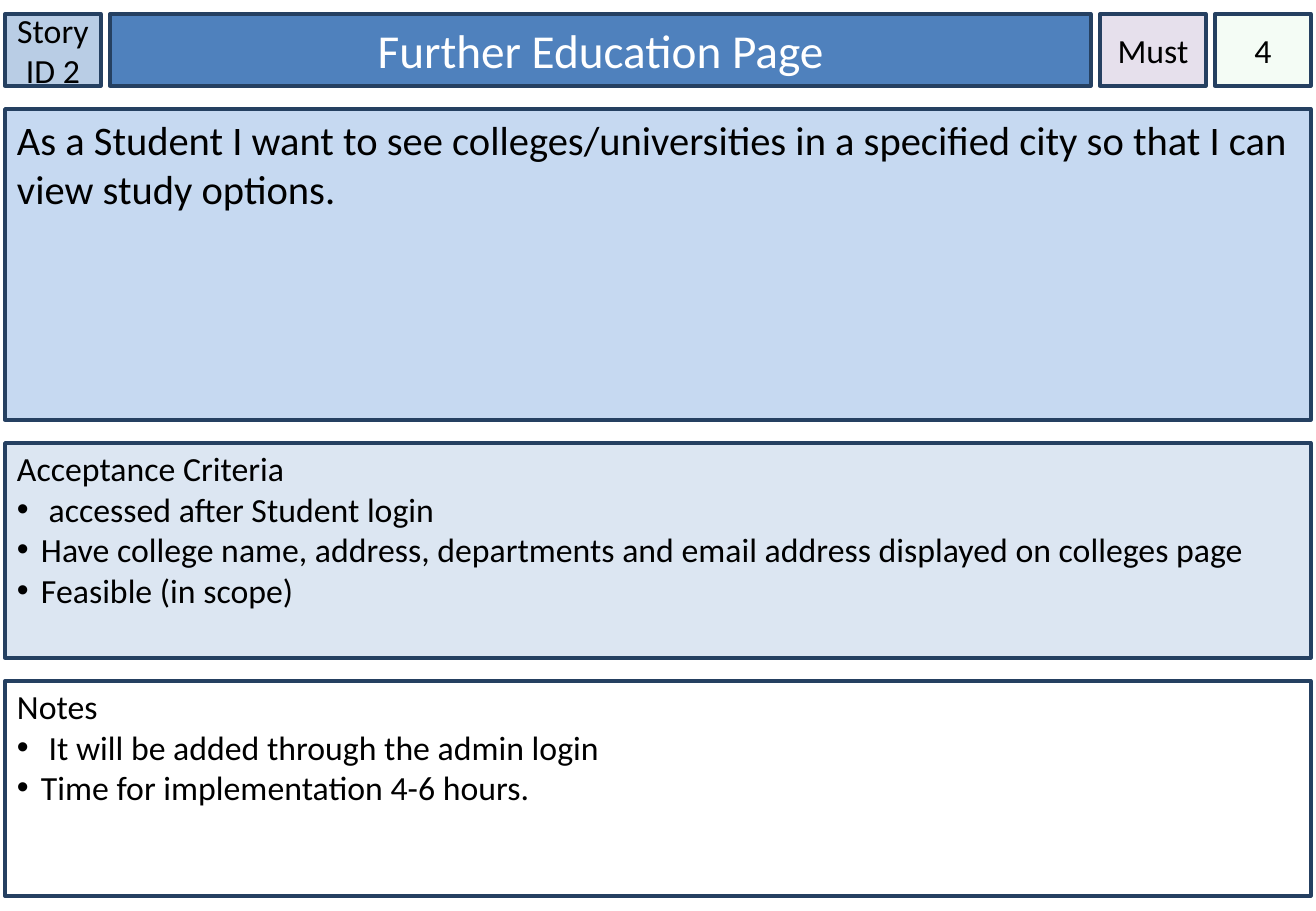
"""Build a one-page user story card with a header row and stacked panels."""
from lxml.etree import SubElement
from pptx import Presentation
from pptx.dml.color import RGBColor
from pptx.enum.shapes import MSO_SHAPE
from pptx.enum.text import MSO_ANCHOR, PP_ALIGN
from pptx.oxml.ns import qn
from pptx.util import Inches, Pt

NAVY = RGBColor(0x25, 0x40, 0x61)
BLACK = RGBColor(0, 0, 0)
WHITE = RGBColor(255, 255, 255)
ID_BLUE = RGBColor(0xB9, 0xCD, 0xE5)
TITLE_BLUE = RGBColor(0x4F, 0x81, 0xBD)
STORY_BLUE = RGBColor(0xC6, 0xD9, 0xF1)
CRITERIA_BLUE = RGBColor(0xDC, 0xE6, 0xF2)
LILAC = RGBColor(0xE6, 0xE0, 0xEC)
MINT = RGBColor(0xCC, 0xF0, 0xCD)

HEADER = [
    {"text": "Story ID 2", "width": 96, "fill": ID_BLUE},
    {"text": "Further Education Page", "width": 981, "fill": TITLE_BLUE,
     "size": 28, "color": WHITE, "side": 12},
    {"text": "Must", "width": 106, "fill": LILAC, "wrap": False},
    {"text": "4", "width": 96, "fill": MINT, "opacity": 20},
]
PANELS = [
    {"text": "As a Student I want to see colleges/universities in a specified city "
             "so that I can view study options.",
     "height": 311, "fill": STORY_BLUE, "size": 24, "top_inset": 6},
    {"text": "Acceptance Criteria", "height": 215, "fill": CRITERIA_BLUE,
     "bullets": [" accessed after Student login",
                 "Have college name, address, departments and email address "
                 "displayed on colleges page",
                 "Feasible (in scope)"]},
    {"text": "Notes", "height": 215, "fill": WHITE,
     "bullets": [" It will be added through the admin login",
                 "Time for implementation 4-6 hours."]},
]
LEFT, TOP, HEADER_HEIGHT, PANEL_WIDTH = 5, 14, 72, 1306
COLUMN_GAP, ROW_GAP, BULLET_INDENT = 9, 23, 24


def px(pixels):
    """Turn pixels into EMU."""
    return Inches(pixels / 121.5)


def set_all(target, values):
    """Set every attribute in a dict of format values."""
    for name, value in values.items():
        setattr(target, name, value)


def add_bullet(para):
    """Give a paragraph a hanging round bullet."""
    props = para._p.get_or_add_pPr()
    props.set("marL", str(px(BULLET_INDENT)))
    props.set("indent", str(-px(BULLET_INDENT)))
    SubElement(props, qn("a:buFont"), typeface="Arial")
    SubElement(props, qn("a:buChar"), char="•")


def add_card(page, item, bounds, align, anchor, side, top_inset):
    """Draw one outlined box with its text and bullets."""
    box = page.shapes.add_shape(MSO_SHAPE.RECTANGLE, *map(px, bounds))
    box.shadow.inherit = False
    box.fill.solid()
    box.fill.fore_color.rgb = item["fill"]
    if "opacity" in item:
        color = box._element.spPr.find(qn("a:solidFill"))[0]
        SubElement(color, qn("a:alpha"), val=str(item["opacity"] * 1000))
    box.line.color.rgb = NAVY
    box.line.width = Pt(2)
    frame = box.text_frame
    set_all(frame, {
        "word_wrap": item.get("wrap", True), "vertical_anchor": anchor,
        "margin_left": px(side), "margin_right": px(side),
        "margin_top": px(top_inset), "margin_bottom": px(6)})
    for index, text in enumerate([item["text"], *item.get("bullets", [])]):
        para = frame.add_paragraph() if index else frame.paragraphs[0]
        para.alignment = align
        if index:
            add_bullet(para)
        span = para.add_run()
        span.text = text
        set_all(span.font, {"name": "Calibri", "size": Pt(item.get("size", 20))})
        span.font.color.rgb = item.get("color", BLACK)


deck = Presentation()
set_all(deck, {"slide_width": px(1316), "slide_height": px(911)})
page = deck.slides.add_slide(deck.slide_layouts[6])

left = LEFT
for item in HEADER:
    add_card(page, item, (left, TOP, item["width"], HEADER_HEIGHT),
             PP_ALIGN.CENTER, MSO_ANCHOR.MIDDLE, item.get("side", 0), 6)
    left += item["width"] + COLUMN_GAP

top = TOP + HEADER_HEIGHT + ROW_GAP
for item in PANELS:
    add_card(page, item, (LEFT, top, PANEL_WIDTH, item["height"]),
             PP_ALIGN.LEFT, MSO_ANCHOR.TOP, 12, item.get("top_inset", 5))
    top += item["height"] + ROW_GAP

deck.save("out.pptx")
